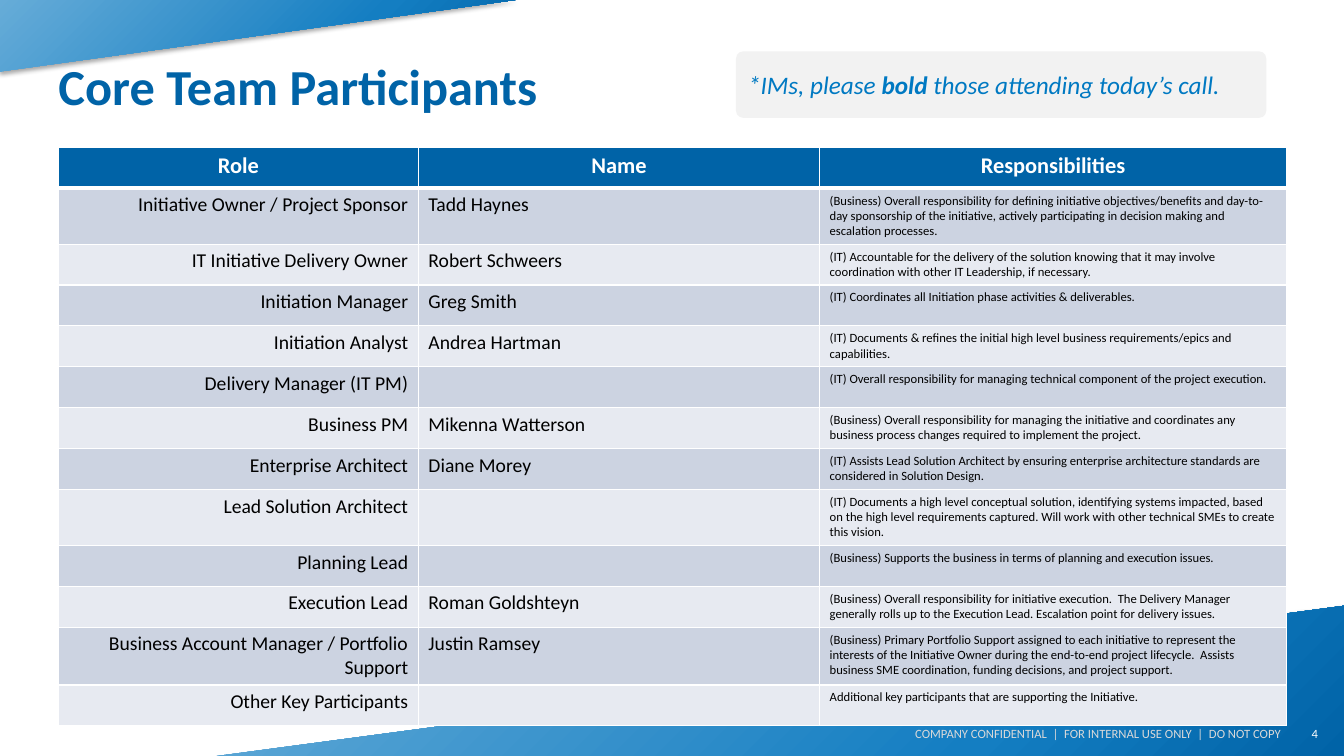
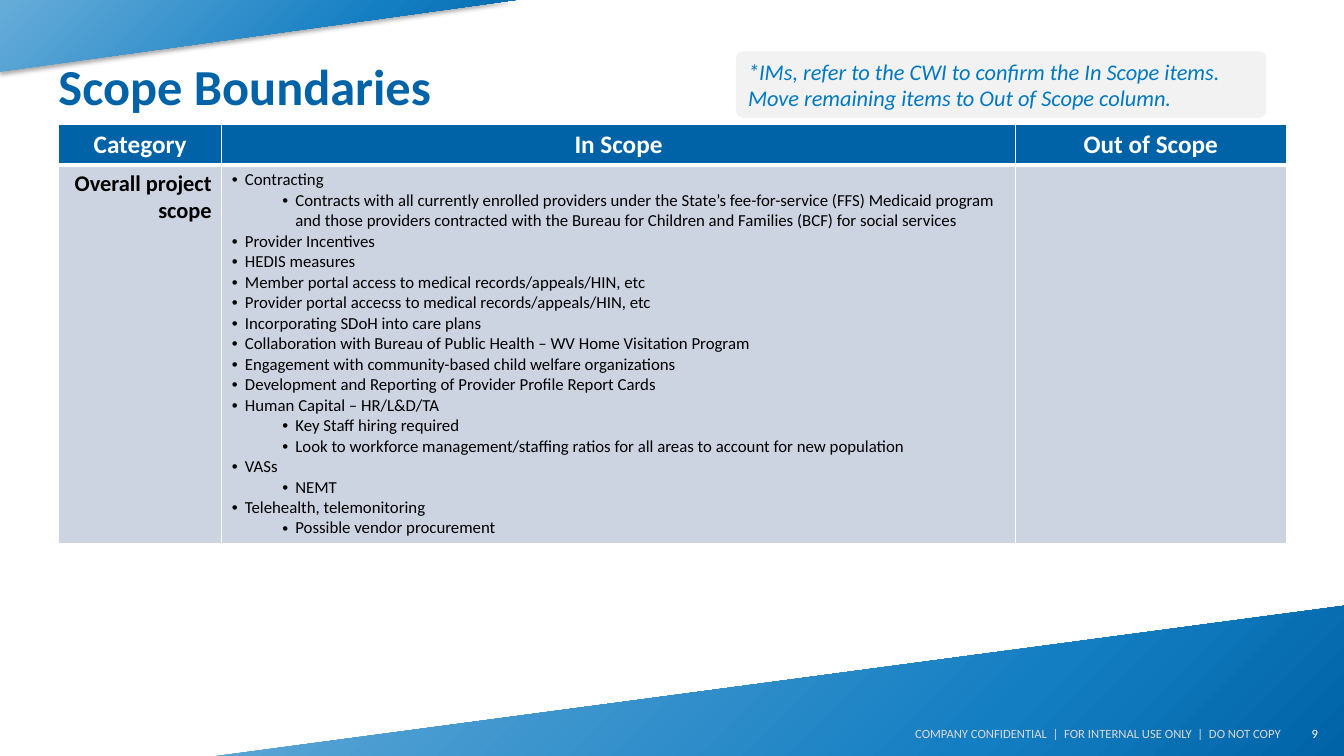
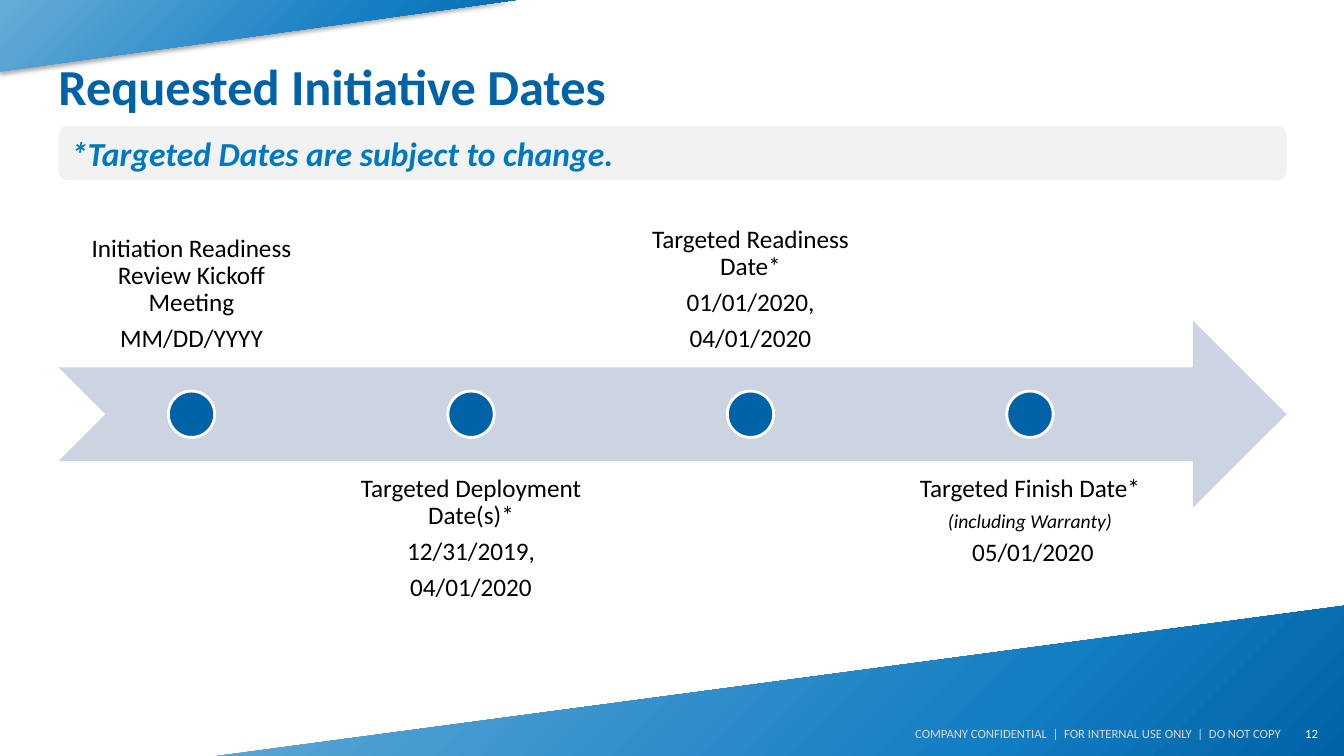
from dataclasses import dataclass, replace
from typing import NamedTuple, Optional, Sequence

from pptx import Presentation
from pptx.dml.color import RGBColor
from pptx.enum.shapes import MSO_SHAPE as Preset
from pptx.enum.text import MSO_ANCHOR as Anchor, MSO_AUTO_SIZE as AutoSize, PP_ALIGN as Align
from pptx.oxml import parse_xml
from pptx.oxml.ns import nsdecls, qn
from pptx.util import Inches, Pt

# Shared look
FONT = "Calibri"
BLUE = RGBColor(0x00, 0x63, 0xA7)
MID_BLUE = RGBColor(0x14, 0x7E, 0xC2)
LIGHT_BLUE = RGBColor(0x66, 0xAC, 0xD8)
NOTE_BLUE = RGBColor(0x00, 0x79, 0xC2)
ROW_DARK = RGBColor(0xCC, 0xD3, 0xE1)
ROW_LIGHT = RGBColor(0xE7, 0xEA, 0xF1)
NOTE_GREY = RGBColor(0xF2, 0xF2, 0xF2)
FOOTER_GREY = RGBColor(0xD9, 0xD9, 0xD9)
WHITE = RGBColor(0xFF, 0xFF, 0xFF)
BLACK = RGBColor(0x00, 0x00, 0x00)

WIDTH, HEIGHT = 13.33, 7.5
MARGIN, CONTENT = 0.58, 12.18
ROW_HEIGHT = Pt(29.2)
FOOTER = "COMPANY CONFIDENTIAL  |  FOR INTERNAL USE ONLY  |  DO NOT COPY"


class Area(NamedTuple):
    left: float
    top: float
    width: float
    height: float

    def emu(self) -> list:
        return [Inches(value) for value in self]


@dataclass(frozen=True)
class Style:
    size: float
    color: RGBColor = BLACK
    bold: bool = False
    italic: bool = False
    align: Align = Align.LEFT


class Span(NamedTuple):
    text: str
    style: Style


class Band(NamedTuple):
    corners: Sequence[tuple]
    middle_stop: int


class Item(NamedTuple):
    text: str
    level: int = 0


class Column(NamedTuple):
    heading: str
    width: float
    style: Style


class Milestone(NamedTuple):
    lines: Sequence[Span]


BANDS = (
    Band(((0, 0.71), (0, 0), (5.11, 0)), 33),
    Band(((WIDTH, 6.01), (WIDTH, HEIGHT), (2.15, HEIGHT)), 30),
)
SIDE_NOTE = Area(7.3, 0.51, 5.26, 0.66)


# Text
def format_para(para, style: Style) -> None:
    para.alignment = style.align
    for run in para.runs:
        format_run(run, style)


def format_run(run, style: Style) -> None:
    font = run.font
    font.name, font.size = FONT, Pt(style.size)
    font.bold, font.italic = style.bold, style.italic
    font.color.rgb = style.color


def add_label(page, area: Area, text: str, style: Style, side_inset: float = 0.1) -> None:
    box = page.shapes.add_textbox(*area.emu())
    frame = box.text_frame
    frame.word_wrap = True
    frame.vertical_anchor = Anchor.MIDDLE
    frame.margin_left = frame.margin_right = Inches(side_inset)
    frame.text = text
    format_para(frame.paragraphs[0], style)


# Shapes
def add_plain_shape(page, preset: Preset, area: Area, color: RGBColor):
    shape = page.shapes.add_shape(preset, *area.emu())
    shape.shadow.inherit = False
    shape.fill.solid()
    shape.fill.fore_color.rgb = color
    shape.line.fill.background()
    return shape


def add_note(page, area: Area, spans: Sequence[Span], rounding: Optional[float] = None) -> None:
    note = add_plain_shape(page, Preset.ROUNDED_RECTANGLE, area, NOTE_GREY)
    if rounding is not None:
        note.adjustments[0] = rounding
    frame = note.text_frame
    frame.word_wrap = True
    frame.vertical_anchor = Anchor.MIDDLE
    para = frame.paragraphs[0]
    para.alignment = Align.LEFT
    for span in spans:
        run = para.add_run()
        run.text = span.text
        format_run(run, span.style)


def add_band(page, band: Band):
    first, *others = [(Inches(x), Inches(y)) for x, y in band.corners]
    builder = page.shapes.build_freeform(*first)
    builder.add_line_segments(others, close=True)
    shape = builder.convert_to_shape()
    shape.line.fill.background()
    shape.shadow.inherit = False
    shape.fill.background()
    # Radial gradient from the bottom right corner, and a soft shadow below
    stops = "".join(
        f'<a:gs pos="{share * 1000}"><a:srgbClr val="{color}"/></a:gs>'
        for share, color in ((0, BLUE), (band.middle_stop, MID_BLUE), (100, LIGHT_BLUE)))
    properties = shape.element.spPr
    properties.replace(properties.find(qn("a:noFill")), parse_xml(
        f'<a:gradFill {nsdecls("a")} rotWithShape="1"><a:gsLst>{stops}</a:gsLst>'
        '<a:path path="circle"><a:fillToRect l="100000" t="100000"/></a:path></a:gradFill>'))
    properties.find(qn("a:effectLst")).append(parse_xml(
        f'<a:outerShdw {nsdecls("a")} blurRad="{Pt(3.1)}" dist="{Pt(1.8)}" dir="5400000" '
        'rotWithShape="0"><a:srgbClr val="000000"><a:alpha val="35000"/></a:srgbClr>'
        '</a:outerShdw>'))
    return shape


# Page frame
def add_page(deck, layout, title: str):
    page = deck.slides.add_slide(layout)
    heading = page.shapes.title
    heading.left, heading.top, heading.width, heading.height = Area(
        MARGIN, 0.3, CONTENT, 1.09).emu()
    frame = heading.text_frame
    frame.text = title
    frame.margin_left = 0
    frame.vertical_anchor = Anchor.MIDDLE
    frame.auto_size = AutoSize.NONE
    format_para(frame.paragraphs[0], Style(36, BLUE, bold=True))
    return page


def add_footer(page, number: int) -> None:
    add_label(page, Area(12.25, 7.08, 0.92, 0.4), str(number),
              Style(9, WHITE, align=Align.RIGHT))
    add_label(page, Area(7.5, 7.2, 5.2, 0.16), FOOTER,
              Style(9, FOOTER_GREY, align=Align.RIGHT), side_inset=0)


# Tables
def paint_cell(cell, color: RGBColor, top: float, bottom: float) -> None:
    properties = cell._tc.get_or_add_tcPr()
    for side, points in (("L", 1), ("R", 1), ("T", top), ("B", bottom)):
        properties.append(parse_xml(
            f'<a:ln{side} {nsdecls("a")} w="{Pt(points)}"><a:solidFill>'
            f'<a:srgbClr val="{WHITE}"/></a:solidFill></a:ln{side}>'))
    cell.fill.solid()
    cell.fill.fore_color.rgb = color


def add_items(frame, items: Sequence[Item], style: Style) -> None:
    frame.text = "\n".join(item.text for item in items)
    for para, item in zip(frame.paragraphs, items):
        para.level = item.level
        format_para(para, style)
        properties = para._p.get_or_add_pPr()
        properties.set("marL", str(Inches(0.13 + 0.5 * item.level)))
        properties.set("indent", str(Inches(-0.13)))
        properties.append(parse_xml(f'<a:buFont {nsdecls("a")} typeface="Arial"/>'))
        properties.append(parse_xml(f'<a:buChar {nsdecls("a")} char="•"/>'))


def add_grid(page, top: float, columns: Sequence[Column], rows: Sequence[tuple],
             heading_size: float) -> None:
    count = len(rows) + 1
    table = page.shapes.add_table(
        count, len(columns), Inches(MARGIN), Inches(top), Inches(CONTENT),
        count * ROW_HEIGHT).table
    heading_style = Style(heading_size, WHITE, bold=True, align=Align.CENTER)
    for line in table.rows:
        line.height = ROW_HEIGHT
    for x, column in enumerate(columns):
        table.columns[x].width = Inches(column.width)
        for y, content in enumerate([column.heading] + [row[x] for row in rows]):
            cell = table.cell(y, x)
            color = BLUE if y == 0 else ROW_DARK if y % 2 else ROW_LIGHT
            paint_cell(cell, color, top=3 if y == 1 else 1, bottom=3 if y == 0 else 1)
            if isinstance(content, str):
                cell.text_frame.text = content
                format_para(cell.text_frame.paragraphs[0],
                            column.style if y else heading_style)
            else:
                add_items(cell.text_frame, content, column.style)


# Core team
TEAM_COLUMNS = (
    Column("Role", 3.57, Style(14, align=Align.RIGHT)),
    Column("Name", 3.98, Style(14)),
    Column("Responsibilities", 4.63, Style(9)),
)
TEAM = (
    ("Initiative Owner / Project Sponsor", "Tadd Haynes",
     "(Business) Overall responsibility for defining initiative objectives/benefits and "
     "day-to-day sponsorship of the initiative, actively participating in decision making "
     "and escalation processes."),
    ("IT Initiative Delivery Owner", "Robert Schweers",
     "(IT) Accountable for the delivery of the solution knowing that it may involve "
     "coordination with other IT Leadership, if necessary."),
    ("Initiation Manager", "Greg Smith",
     "(IT) Coordinates all Initiation phase activities & deliverables."),
    ("Initiation Analyst", "Andrea Hartman",
     "(IT) Documents & refines the initial high level business requirements/epics and "
     "capabilities."),
    ("Delivery Manager (IT PM)", "",
     "(IT) Overall responsibility for managing technical component of the project execution."),
    ("Business PM", "Mikenna Watterson",
     "(Business) Overall responsibility for managing the initiative and coordinates any "
     "business process changes required to implement the project."),
    ("Enterprise Architect", "Diane Morey",
     "(IT) Assists Lead Solution Architect by ensuring enterprise architecture standards are "
     "considered in Solution Design."),
    ("Lead Solution Architect", "",
     "(IT) Documents a high level conceptual solution, identifying systems impacted, based on "
     "the high level requirements captured. Will work with other technical SMEs to create "
     "this vision."),
    ("Planning Lead", "",
     "(Business) Supports the business in terms of planning and execution issues."),
    ("Execution Lead", "Roman Goldshteyn",
     "(Business) Overall responsibility for initiative execution.  The Delivery Manager "
     "generally rolls up to the Execution Lead. Escalation point for delivery issues."),
    ("Business Account Manager / Portfolio Support", "Justin Ramsey",
     "(Business) Primary Portfolio Support assigned to each initiative to represent the "
     "interests of the Initiative Owner during the end-to-end project lifecycle.  Assists "
     "business SME coordination, funding decisions, and project support."),
    ("Other Key Participants", "",
     "Additional key participants that are supporting the Initiative."),
)


def fill_team(page) -> None:
    add_grid(page, 1.46, TEAM_COLUMNS, TEAM, heading_size=16)
    plain = Style(18, NOTE_BLUE, italic=True)
    add_note(page, SIDE_NOTE, (
        Span("*IMs, please ", plain),
        Span("bold", replace(plain, bold=True)),
        Span(" those attending today’s call.", plain)), rounding=0.11)


# Scope
SCOPE_COLUMNS = (
    Column("Category", 1.62, Style(16, bold=True, align=Align.RIGHT)),
    Column("In Scope", 7.87, Style(12)),
    Column("Out of Scope", 2.69, Style(12)),
)
IN_SCOPE = (
    Item("Contracting"),
    Item("Contracts with all currently enrolled providers under the State’s fee-for-service "
         "(FFS) Medicaid program and those providers contracted with the Bureau for Children "
         "and Families (BCF) for social services", 1),
    Item("Provider Incentives"),
    Item("HEDIS measures"),
    Item("Member portal access to medical records/appeals/HIN, etc"),
    Item("Provider portal accecss to medical records/appeals/HIN, etc"),
    Item("Incorporating SDoH into care plans"),
    Item("Collaboration with Bureau of Public Health – WV Home Visitation Program"),
    Item("Engagement with community-based child welfare organizations"),
    Item("Development and Reporting of Provider Profile Report Cards"),
    Item("Human Capital – HR/L&D/TA"),
    Item("Key Staff hiring required", 1),
    Item("Look to workforce management/staffing ratios for all areas to account for new "
         "population", 1),
    Item("VASs"),
    Item("NEMT", 1),
    Item("Telehealth, telemonitoring"),
    Item("Possible vendor procurement", 1),
)


def fill_scope(page) -> None:
    add_grid(page, 1.23, SCOPE_COLUMNS, (("Overall project scope", IN_SCOPE, ""),),
             heading_size=18)
    add_note(page, SIDE_NOTE, (
        Span("*IMs, refer to the CWI to confirm the In Scope items.  Move remaining items to "
             "Out of Scope column.", Style(16, NOTE_BLUE, italic=True)),), rounding=0.11)


# Timeline
DATE = Style(18, align=Align.CENTER)
REMARK = replace(DATE, size=14, italic=True)
MILESTONES = (
    Milestone((Span("Initiation Readiness Review Kickoff Meeting", DATE),
               Span("MM/DD/YYYY", DATE))),
    Milestone((Span("Targeted Deployment Date(s)*", DATE),
               Span("12/31/2019,", DATE), Span("04/01/2020", DATE))),
    Milestone((Span("Targeted Readiness Date*", DATE),
               Span("01/01/2020,", DATE), Span("04/01/2020", DATE))),
    Milestone((Span("Targeted Finish Date*", DATE),
               Span("(including Warranty)", REMARK), Span(" 05/01/2020", DATE))),
)
ARROW = Area(MARGIN, 3.18, CONTENT, 1.86)
LABEL_WIDTH, DOT = 2.64, 0.46
PITCH = LABEL_WIDTH * 1.05


def add_milestone(page, index: int, milestone: Milestone) -> None:
    above = index % 2 == 0
    left = ARROW.left + index * PITCH
    shift = ARROW.height * (-0.75 if above else 0.75)
    box = page.shapes.add_textbox(
        *Area(left, ARROW.top + shift, LABEL_WIDTH, ARROW.height).emu())
    frame = box.text_frame
    frame.word_wrap = True
    frame.vertical_anchor = Anchor.BOTTOM if above else Anchor.TOP
    frame.margin_left = frame.margin_right = Inches(0.14)
    frame.margin_top = frame.margin_bottom = Inches(0.14)
    frame.text = "\n".join(span.text for span in milestone.lines)
    for para, span in zip(frame.paragraphs, milestone.lines):
        format_para(para, span.style)
        para.line_spacing = 0.9
        para.space_after = Pt(0.35 * span.style.size)
    dot = add_plain_shape(page, Preset.OVAL, Area(
        left + (LABEL_WIDTH - DOT) / 2, ARROW.top + (ARROW.height - DOT) / 2, DOT, DOT), BLUE)
    dot.line.color.rgb = WHITE
    dot.line.width = Pt(2)


def fill_dates(page) -> None:
    add_plain_shape(page, Preset.NOTCHED_RIGHT_ARROW, ARROW, ROW_DARK)
    for index, milestone in enumerate(MILESTONES):
        add_milestone(page, index, milestone)
    add_note(page, Area(MARGIN, 1.25, CONTENT, 0.54), (
        Span("*Targeted Dates are subject to change.",
             Style(24, NOTE_BLUE, bold=True, italic=True)),))


PAGES = (
    ("Core Team Participants", 4, fill_team),
    ("Scope Boundaries", 9, fill_scope),
    ("Requested Initiative Dates", 12, fill_dates),
)


def main() -> None:
    deck = Presentation()
    deck.slide_width, deck.slide_height = Inches(WIDTH), Inches(HEIGHT)
    layout = deck.slide_layouts.get_by_name("Title Only")
    for title, number, fill_page in PAGES:
        page = add_page(deck, layout, title)
        fill_page(page)
        add_footer(page, number)
    # The bands belong to the layout, behind every page
    for band in BANDS:
        layout.shapes.element.append(add_band(deck.slides[0], band).element)
    deck.save("out.pptx")


if __name__ == "__main__":
    main()
